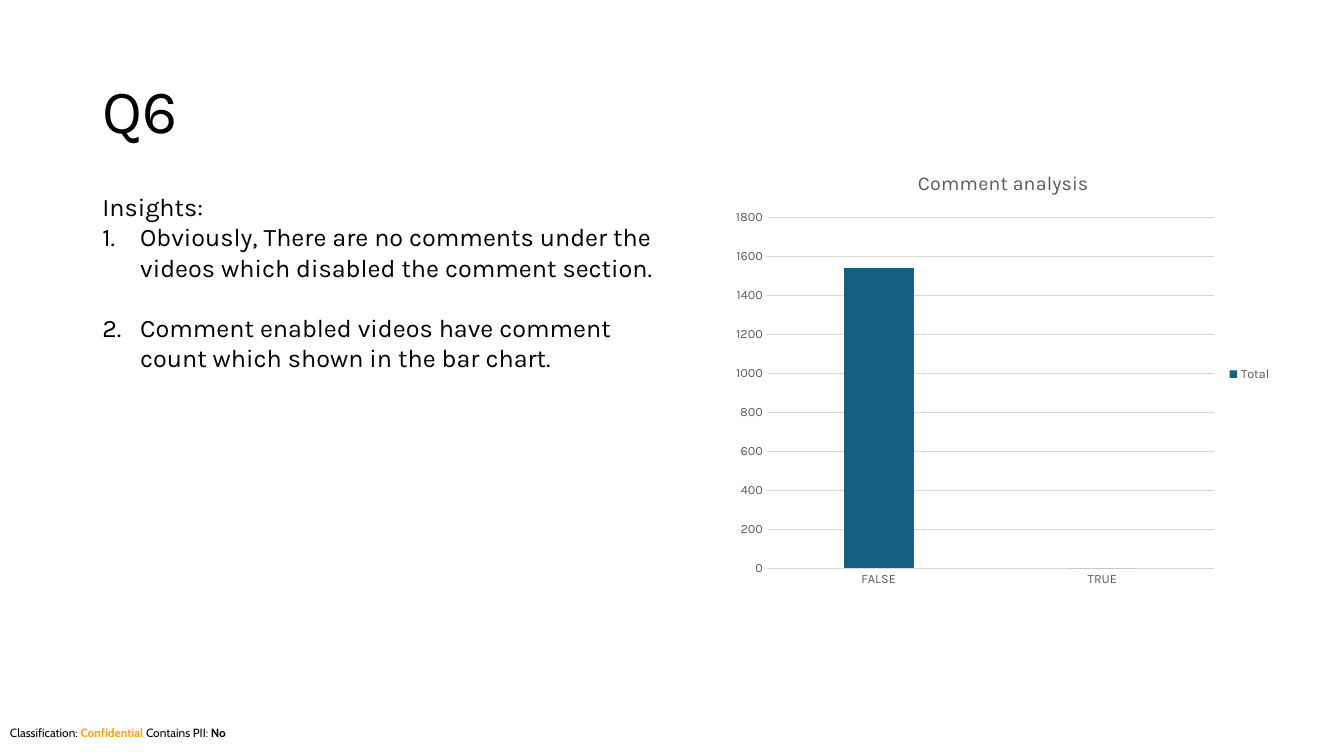
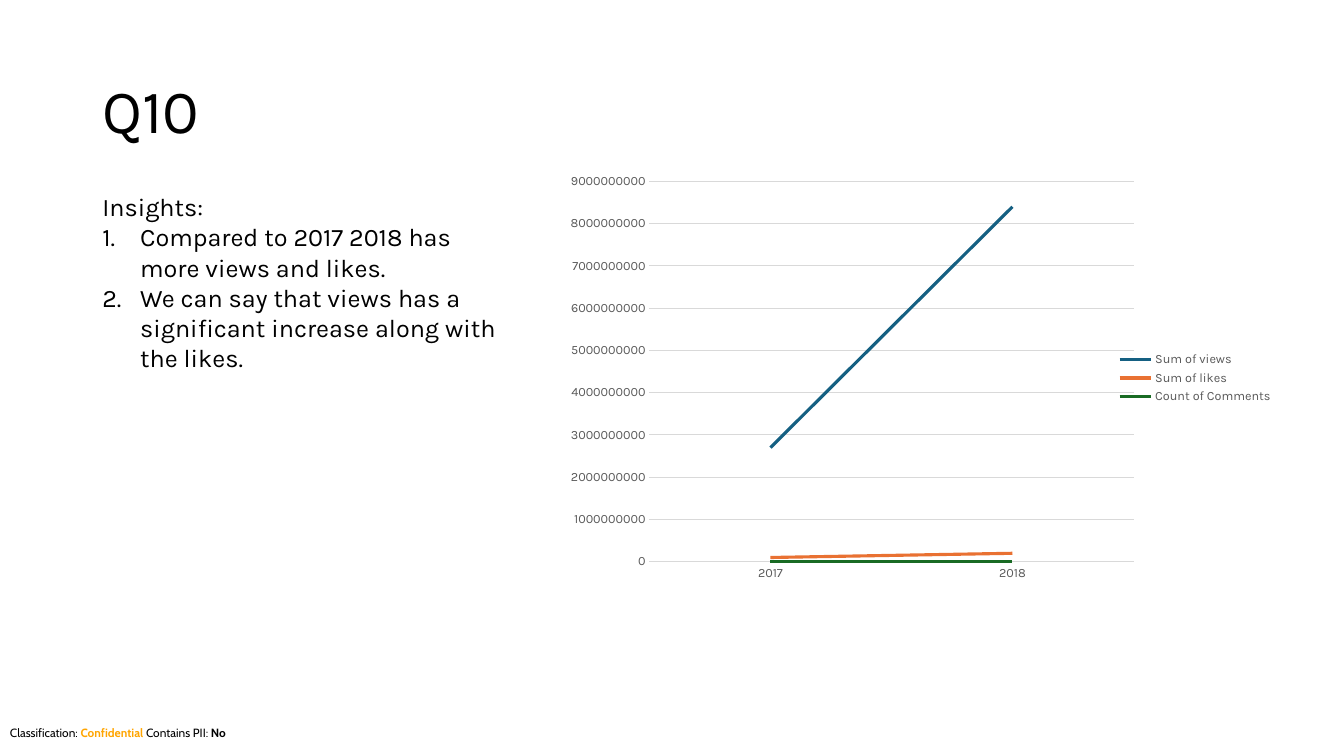
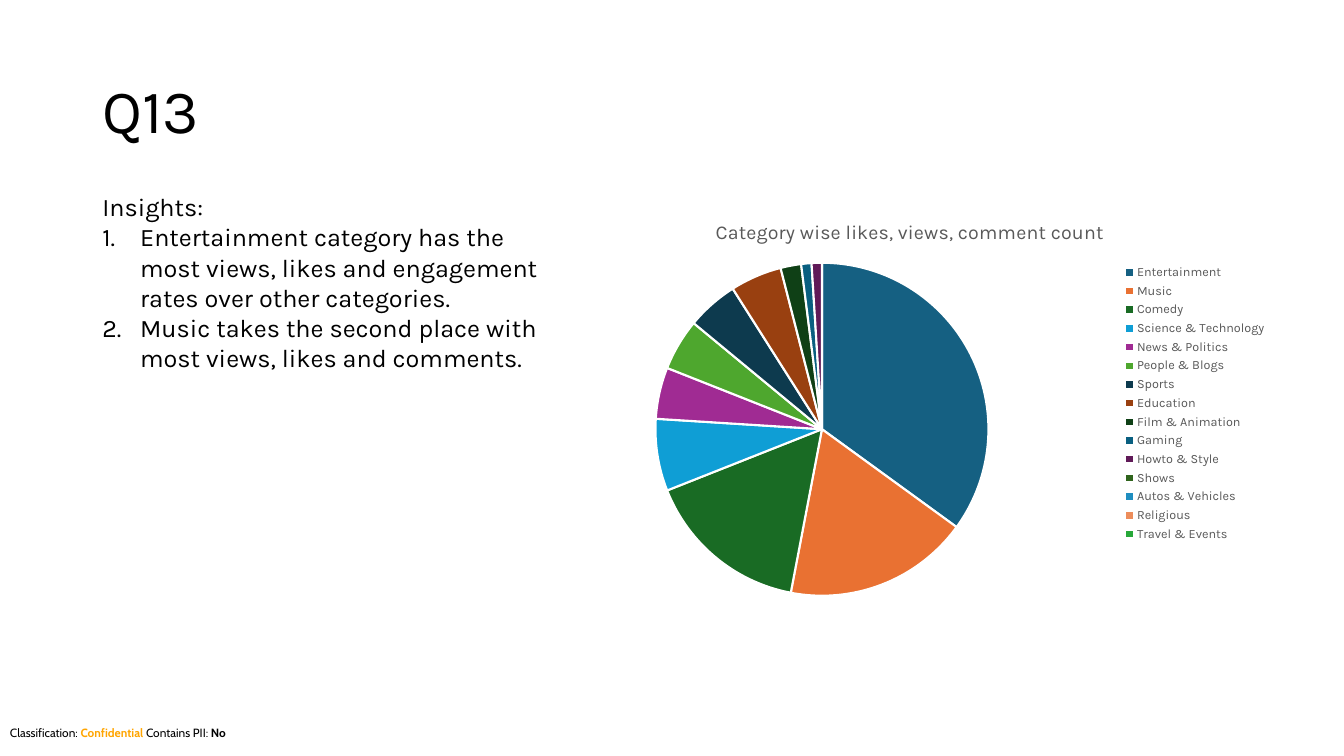
from lxml.etree import SubElement
from pptx import Presentation
from pptx.chart.data import CategoryChartData
from pptx.dml.color import RGBColor
from pptx.enum.chart import XL_CHART_TYPE, XL_LEGEND_POSITION, XL_MARKER_STYLE, XL_TICK_MARK
from pptx.enum.text import MSO_ANCHOR, MSO_AUTO_SIZE, PP_ALIGN
from pptx.oxml.ns import qn
from pptx.util import Pt

# Shared style
FONT, SMALL = "Karla", "Cabin"
BLACK, WHITE, AMBER, GREY, RULE = "000000", "FFFFFF", "FFA500", "595959", "D9D9D9"
HUES = ["156082", "E97132", "196B24", "0F9ED5", "A02B93", "4EA72E", "0D3A4E", "994010",
        "0F4016", "095F80", "601A58", "2F641C", "1F8EC0", "ED8D5B", "27A839"]
LEFT, INDENT = 66, 27


def color(code):
    return RGBColor.from_string(code)


def style(font, size, hue=BLACK, name=FONT, bold=False):
    font.size, font.name, font.bold = Pt(size), name, bold
    font.color.rgb = color(hue)


def write(para, text, **format):
    run = para.add_run()
    run.text = text
    style(run.font, **format)


# Text parts
def add_box(slide, *place):
    frame = slide.shapes.add_textbox(*map(Pt, place)).text_frame
    frame.word_wrap = True
    frame.auto_size = MSO_AUTO_SIZE.SHAPE_TO_FIT_TEXT
    return frame


def add_slide(deck, title):
    slide = deck.slides.add_slide(deck.slide_layouts[5])
    head = slide.shapes.title
    head.left, head.top, head.width, head.height = map(Pt, (LEFT, 29, 828, 104.4))
    frame = head.text_frame
    frame.vertical_anchor = MSO_ANCHOR.MIDDLE
    para = frame.paragraphs[0]
    para.alignment, para.line_spacing = PP_ALIGN.LEFT, 0.9
    write(para, title, size=44)

    foot = add_box(slide, 0, 515, 960, 17).paragraphs[0]
    for text, hue, bold in (("Classification: ", BLACK, False), ("Confidential", AMBER, True),
                            (" Contains PII: ", BLACK, False), ("No", BLACK, True)):
        write(foot, text, size=8.5, hue=hue, name=SMALL, bold=bold)
    return slide


def add_notes(slide, width, height, items, gap=0):
    frame = add_box(slide, LEFT, 133.2, width, height)
    write(frame.paragraphs[0], "Insights:", size=18)
    for item in items:
        para = frame.add_paragraph()
        para.space_after = Pt(gap)
        write(para, item, size=18)
        props = para._p.get_or_add_pPr()
        props.set("marL", str(Pt(INDENT)))
        props.set("indent", str(-Pt(INDENT)))
        SubElement(props, qn("a:buAutoNum"), type="arabicPeriod")


# Chart parts
def add_chart(slide, kind, place, names, series, title=None):
    data = CategoryChartData()
    data.categories = names
    for name, values in series:
        data.add_series(name, values)
    chart = slide.shapes.add_chart(kind, *map(Pt, place), data).chart
    style(chart.font, 10)
    chart.has_title = bool(title)
    if title:
        write(chart.chart_title.text_frame.paragraphs[0], title, size=14, hue=GREY)
        chart.chart_title.include_in_layout = False
    chart.has_legend = True
    chart.legend.position = XL_LEGEND_POSITION.RIGHT
    chart.legend.include_in_layout = False
    style(chart.legend.font, 9, GREY)
    return chart


def set_axes(chart, top, step):
    for axis in (chart.category_axis, chart.value_axis):
        axis.major_tick_mark = axis.minor_tick_mark = XL_TICK_MARK.NONE
        style(axis.tick_labels.font, 9, GREY)
    scale = chart.value_axis
    scale.minimum_scale, scale.maximum_scale, scale.major_unit = 0, top, step
    scale.format.line.fill.background()
    scale.has_major_gridlines = True
    for item in (chart.category_axis, scale.major_gridlines):
        set_line(item.format.line, RULE, 0.75)


def set_line(line, hue, width):
    line.color.rgb, line.width = color(hue), Pt(width)


def set_fill(item, hue):
    item.format.fill.solid()
    item.format.fill.fore_color.rgb = color(hue)


def set_plot(chart, *box):
    area = chart._chartSpace.chart.plotArea
    for old in area.findall(qn("c:layout")):
        area.remove(old)
    layout = SubElement(area, qn("c:layout"))
    area.insert(0, layout)
    manual = SubElement(layout, qn("c:manualLayout"))
    parts = [("layoutTarget", "inner"), ("xMode", "edge"), ("yMode", "edge"), *zip("xywh", box)]
    for tag, value in parts:
        SubElement(manual, qn("c:" + tag), val=str(value))


# Slides
def add_bars(deck):
    slide = add_slide(deck, "Q6")
    add_notes(slide, 414, 225, [
        "Obviously, There are no comments under the videos which disabled the comment section.",
        "Comment enabled videos have comment count which shown in the bar chart."], gap=21.6)
    chart = add_chart(slide, XL_CHART_TYPE.COLUMN_CLUSTERED, (517.7, 108.7, 398, 317),
                      ["FALSE", "TRUE"], [("Total", (1540, 0))], "Comment analysis")
    set_axes(chart, 1800, 200)
    plot = chart.plots[0]
    plot.gap_width, plot.overlap, plot.vary_by_categories = 219, -27, False
    set_fill(plot.series[0], HUES[0])


def add_lines(deck):
    slide = add_slide(deck, "Q10")
    add_notes(slide, 306, 181, [
        "Compared to 2017 2018 has more views and likes.",
        "We can say that views has a significant increase along with the likes."])
    chart = add_chart(slide, XL_CHART_TYPE.LINE, (407.5, 117.4, 509, 305.3), ["2017", "2018"], [
        ("Sum of views", (2_700_000_000, 8_400_000_000)),
        ("Sum of likes", (100_000_000, 200_000_000)),
        ("Count of Comments", (0, 0))])
    set_axes(chart, 9_000_000_000, 1_000_000_000)
    set_plot(chart, 0.11, 0.04, 0.68, 0.89)
    chart.plots[0].vary_by_categories = False
    for line, hue in zip(chart.plots[0].series, HUES):
        line.smooth = False
        line.marker.style = XL_MARKER_STYLE.NONE
        set_line(line.format.line, hue, 2.25)


def add_pie(deck):
    slide = add_slide(deck, "Q13")
    add_notes(slide, 347, 160, [
        "Entertainment category has the most views, likes and engagement rates over other categories.",
        "Music takes the second place with most views, likes and comments."])
    names = ["Entertainment", "Music", "Comedy", "Science & Technology", "News & Politics",
             "People & Blogs", "Sports", "Education", "Film & Animation", "Gaming",
             "Howto & Style", "Shows", "Autos & Vehicles", "Religious", "Travel & Events"]
    shares = (35, 18, 16, 7, 5, 5, 5, 5, 2, 1, 1, 0, 0, 0, 0)
    chart = add_chart(slide, XL_CHART_TYPE.PIE, (388, 144.7, 524, 286.6), names,
                      [("Series 1", shares)], "Category wise likes, views, comment count")
    set_plot(chart, 0.15, 0.15, 0.46, 0.83)
    plot = chart.plots[0]
    plot.vary_by_categories = True
    for spot, hue in enumerate(HUES):
        slice = plot.series[0].points[spot]
        set_fill(slice, hue)
        set_line(slice.format.line, WHITE, 1.5)


def main():
    deck = Presentation()
    deck.slide_width, deck.slide_height = Pt(960), Pt(540)
    for build in (add_bars, add_lines, add_pie):
        build(deck)
    deck.save("out.pptx")


if __name__ == "__main__":
    main()
